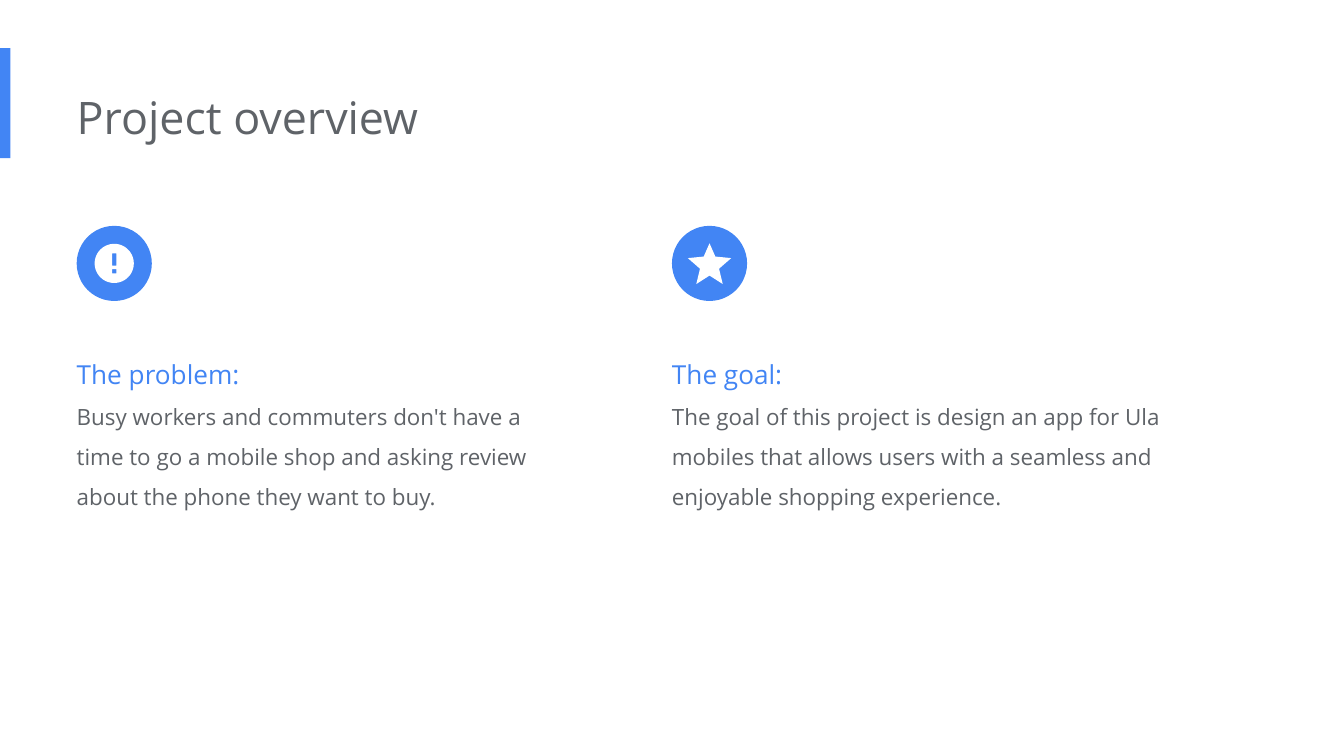
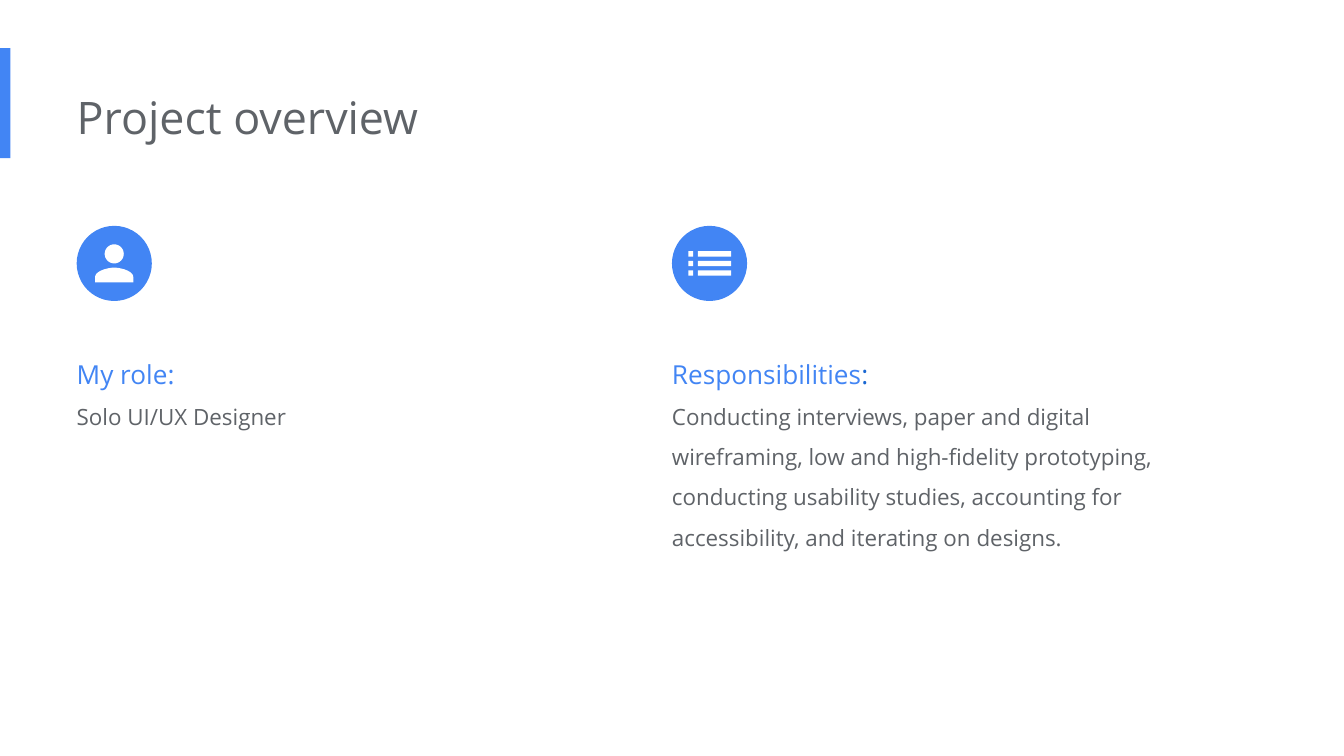
from dataclasses import dataclass
from math import cos, pi, sin

from pptx import Presentation
from pptx.dml.color import RGBColor
from pptx.enum import shapes, text
from pptx.util import Cm, Pt

FONT = "Open Sans"
BLUE, DARK_BLUE, GREY, WHITE = "4285F4", "1967D2", "5F6368", "FFFFFF"

COLUMN_LEFTS = (1.45, 12.7)
COLUMN_WIDTH = 9.58
BADGE_TOP, BADGE_SIZE = 4.27, 1.42
TEXT_TOP = 6.22

Point = tuple[float, float]
Outline = list[Point]


@dataclass
class Column:
    icon: list[Outline]
    heading: str
    body: str
    height: float
    colon_color: str = BLUE


def circle(y: float, radius: float, steps: int = 72) -> Outline:
    angles = [2 * pi * step / steps for step in range(steps)]
    return [(radius * sin(a), y - radius * cos(a)) for a in angles]


def rectangle(left: float, top: float, right: float, bottom: float) -> Outline:
    return [(left, top), (left, bottom), (right, bottom), (right, top)]


def mirrored(right_half: Outline) -> Outline:
    """Close a half outline with its reflection in the vertical axis."""
    return right_half + [(-x, y) for x, y in reversed(right_half) if x]


def curve(a: Point, b: Point, c: Point, d: Point, steps: int = 20) -> Outline:
    """Sample a cubic Bezier curve."""
    outline = []
    for step in range(steps + 1):
        t = step / steps
        weights = ((1 - t) ** 3, 3 * t * (1 - t) ** 2, 3 * t * t * (1 - t), t ** 3)
        outline.append(tuple(sum(w * point[axis] for w, point in zip(weights, (a, b, c, d)))
                             for axis in (0, 1)))
    return outline


# Icon outlines are in centimetres from the centre of the badge.
ALERT = [circle(0, 0.37), rectangle(-0.04, -0.19, 0.04, 0.04),
         rectangle(-0.04, 0.11, 0.04, 0.19)]
STAR = [mirrored([(0, -0.38), (0.11, -0.13), (0.41, -0.1),
                  (0.18, 0.1), (0.25, 0.39), (0, 0.23)])]
PERSON = [circle(-0.18, 0.18),
          mirrored(curve((0, 0.08), (0.12, 0.08), (0.36, 0.14), (0.36, 0.26))
                   + [(0.36, 0.36)])]
LIST = [rectangle(left, y - 0.05, right, y + 0.05)
        for y in (-0.18, 0, 0.18)
        for left, right in ((-0.4, -0.31), (-0.22, 0.41))]

TITLE = "Project overview"
PAGES = [
    [Column(ALERT, "The problem",
            "Busy workers and commuters don't have a time to go a mobile shop and "
            "asking review about the phone they want to buy.", 3.45),
     Column(STAR, "The goal",
            "The goal of this project is design an app for Ula mobiles that allows "
            "users with a seamless and enjoyable shopping experience.", 3.45)],
    [Column(PERSON, "My role", "Solo UI/UX Designer", 1.93),
     Column(LIST, "Responsibilities",
            "Conducting interviews, paper and digital wireframing, low and "
            "high-fidelity prototyping, conducting usability studies, accounting for "
            "accessibility, and iterating on designs.", 4.24, DARK_BLUE)],
]


def rgb(color: str) -> RGBColor:
    return RGBColor.from_string(color)


def paint(shape, color: str) -> None:
    shape.fill.solid()
    shape.fill.fore_color.rgb = rgb(color)
    shape.line.fill.background()
    shape.shadow.inherit = False


def style_font(font, size: float, color: str) -> None:
    font.name, font.size = FONT, Pt(size)
    font.color.rgb = rgb(color)


def set_frame(frame) -> None:
    frame.word_wrap = True
    frame.auto_size = text.MSO_AUTO_SIZE.SHAPE_TO_FIT_TEXT
    frame.vertical_anchor = text.MSO_ANCHOR.TOP
    frame.margin_left = 0
    frame.margin_top = frame.margin_right = frame.margin_bottom = Cm(0.25)


def add_band(page, layout) -> None:
    """Draw the side band and move it to the layout, where all pages share it."""
    band = page.shapes.add_shape(shapes.MSO_SHAPE.RECTANGLE,
                                 0, Cm(0.91), Cm(0.2), Cm(2.08))
    paint(band, BLUE)
    layout.shapes.element.append(band.element)


def set_title(page, words: str) -> None:
    title = page.shapes.title
    title.left, title.top, title.width, title.height = Cm(1.45), Cm(1.45), Cm(17.09), Cm(1.55)
    set_frame(title.text_frame)
    para = title.text_frame.paragraphs[0]
    para.text = words
    para.alignment = text.PP_ALIGN.LEFT
    style_font(para.font, 24, GREY)


def add_badge(page, left: float, icon: list[Outline]) -> None:
    badge = page.shapes.add_shape(shapes.MSO_SHAPE.OVAL, Cm(left), Cm(BADGE_TOP),
                                  Cm(BADGE_SIZE), Cm(BADGE_SIZE))
    paint(badge, BLUE)
    outlines = [[(Cm(x), Cm(y)) for x, y in outline] for outline in icon]
    builder = page.shapes.build_freeform(*outlines[0][0])
    for outline in outlines:
        if outline is not outlines[0]:
            builder.move_to(*outline[0])
        builder.add_line_segments(outline[1:], close=True)
    symbol = builder.convert_to_shape(Cm(left + BADGE_SIZE / 2),
                                      Cm(BADGE_TOP + BADGE_SIZE / 2))
    paint(symbol, WHITE)


def add_column(page, left: float, column: Column) -> None:
    add_badge(page, left, column.icon)
    box = page.shapes.add_textbox(Cm(left), Cm(TEXT_TOP),
                                  Cm(COLUMN_WIDTH), Cm(column.height))
    frame = box.text_frame
    set_frame(frame)
    heading, body = frame.paragraphs[0], frame.add_paragraph()
    heading.line_spacing = body.line_spacing = 1.5
    for words, color in ((column.heading, BLUE), (":", column.colon_color)):
        span = heading.add_run()
        span.text = words
        style_font(span.font, 14, color)
    body.text = column.body
    style_font(body.font, 12, GREY)


def main() -> None:
    deck = Presentation()
    deck.slide_width, deck.slide_height = Cm(25.4), Cm(14.29)
    layout = deck.slide_layouts.get_by_name("Title Only")
    for number, columns in enumerate(PAGES):
        page = deck.slides.add_slide(layout)
        if number == 0:
            add_band(page, layout)
        set_title(page, TITLE)
        for left, column in zip(COLUMN_LEFTS, columns):
            add_column(page, left, column)
    deck.save("out.pptx")


if __name__ == "__main__":
    main()
